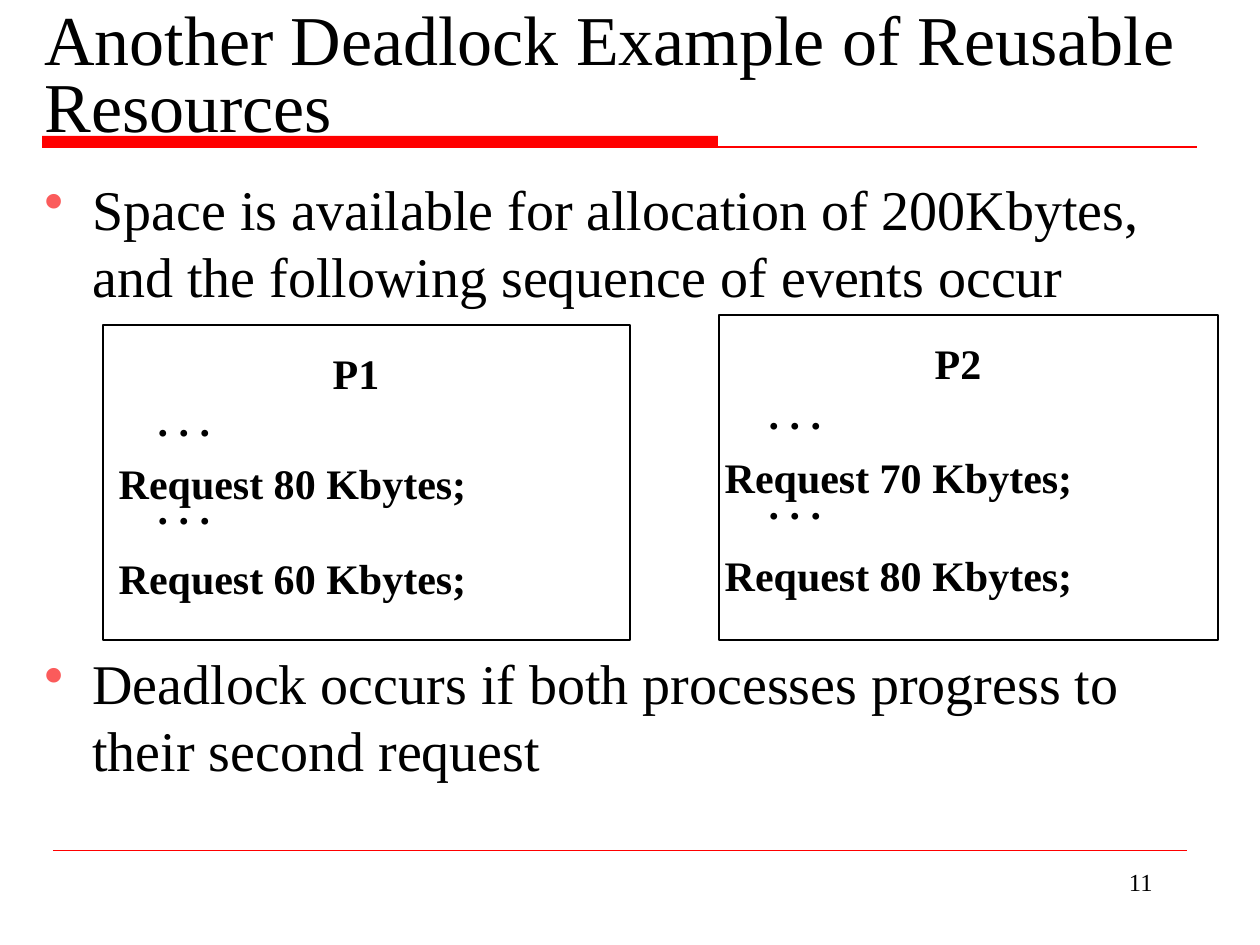
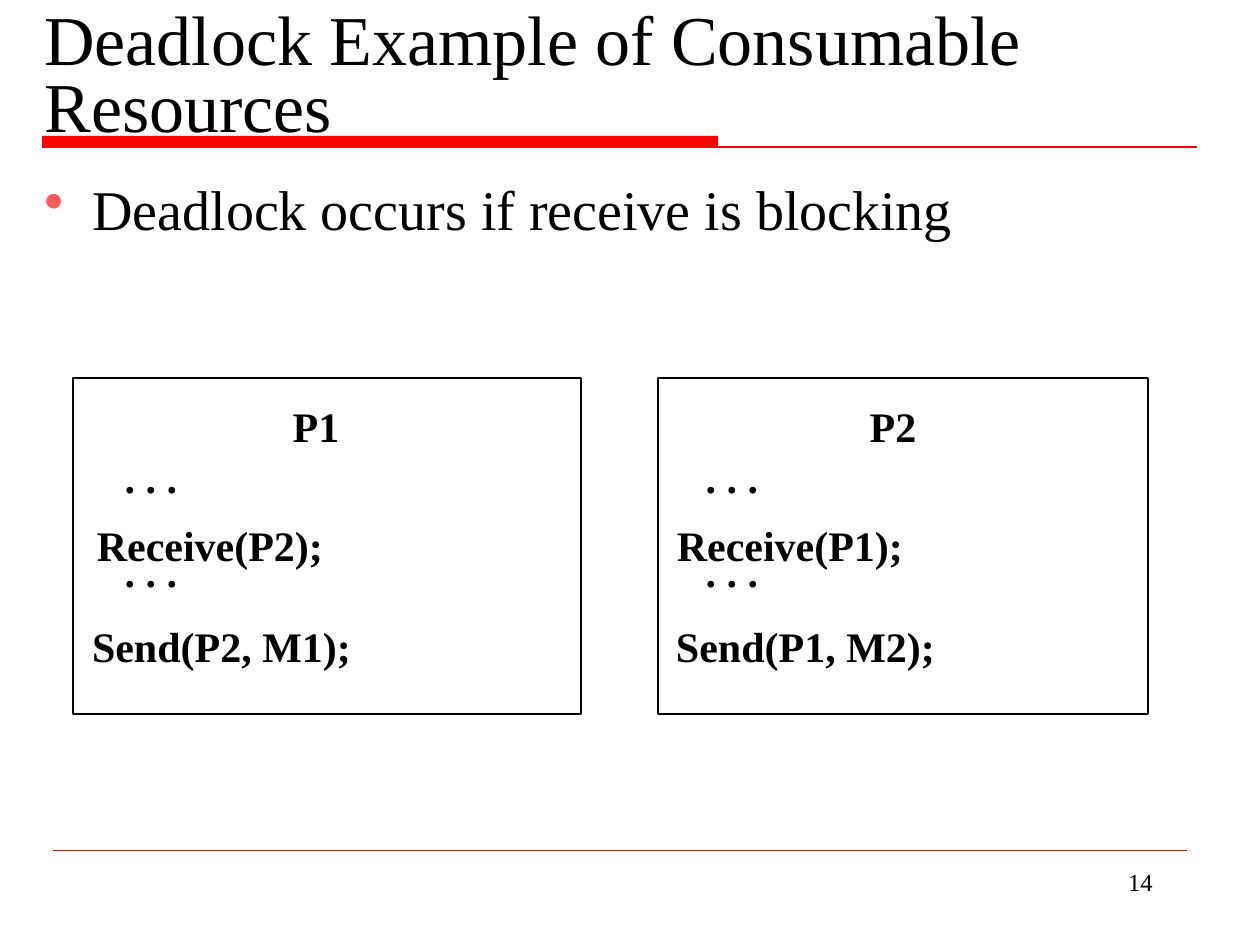
from dataclasses import dataclass
from typing import NamedTuple

from lxml import etree
from pptx import Presentation
from pptx import util as u
from pptx.dml.color import RGBColor
from pptx.enum import shapes, text
from pptx.oxml.ns import qn

SCALE = 914400 / 126  # EMU per px


@dataclass(frozen=True)
class Theme:
    font: str = "Times New Roman"
    ink: str = "000000"
    paper: str = "FFFFFF"
    red: str = "FF0000"
    dot: str = "FB5B5B"
    title: int = 40
    body: int = 32
    code: int = 24
    foot: int = 14


class Box(NamedTuple):
    x: int
    y: int
    w: int
    h: int


class Line(NamedTuple):
    text: str
    x: int
    y: int
    w: int


@dataclass(frozen=True)
class Card:
    box: Box
    name: Line
    dots: tuple[int, int, int]  # left, then the two tops
    calls: tuple[Line, Line]


@dataclass(frozen=True)
class Page:
    title: str
    num: int
    points: tuple[str, ...]
    cards: tuple[Card, Card]


T = Theme()
WIDE, MID, NARROW = 373, 285, 252  # widths of the calls
LABEL, DOTS, ROW = 72, 78, 63      # label width, dots width, row height
INDENT = 48
GAP = 194                          # points of room left for the cards

PAGES = (
    Page("Another Deadlock Example of Reusable Resources", 11,
         ("Space is available for allocation of 200Kbytes, "
          "and the following sequence of events occur",
          "Deadlock occurs if both processes progress to their second request"),
         (Card(Box(103, 325, 527, 315), Line("P1", 320, 341, LABEL), (145, 388, 476),
               (Line("Request 80 Kbytes;", 106, 451, WIDE),
                Line("Request 60 Kbytes;", 106, 546, WIDE))),
          Card(Box(719, 315, 499, 325), Line("P2", 922, 331, LABEL), (756, 381, 471),
               (Line("Request 70 Kbytes;", 712, 445, WIDE),
                Line("Request 80 Kbytes;", 712, 543, WIDE))))),
    Page("Deadlock Example of Consumable Resources", 14,
         ("Deadlock occurs if receive is blocking",),
         (Card(Box(73, 378, 508, 336), Line("P1", 280, 394, LABEL), (112, 445, 539),
               (Line("Receive(P2);", 84, 513, NARROW),
                Line("Send(P2, M1);", 79, 614, MID))),
          Card(Box(658, 378, 490, 336), Line("P2", 857, 394, LABEL), (693, 445, 539),
               (Line("Receive(P1);", 664, 513, NARROW),
                Line("Send(P1, M2);", 663, 614, MID))))),
)


def px(n: float) -> u.Emu:
    return u.Emu(round(n * SCALE))


def rgb(code: str) -> RGBColor:
    return RGBColor.from_string(code)


def style(para, size: int, bold: bool = False) -> None:
    for run in para.runs:
        font = run.font
        font.name, font.size, font.bold = T.font, u.Pt(size), bold
        font.color.rgb = rgb(T.ink)


def write(parent, box: Box, words: str, size: int, align=text.PP_ALIGN.LEFT,
          bold: bool = False, wrap: bool = True):
    frame = parent.add_textbox(*map(px, box)).text_frame
    frame.word_wrap = wrap
    frame.text = words
    for para in frame.paragraphs:
        para.alignment = align
        style(para, size, bold)
    return frame


def rect(parent, box: Box, fill: str, edge: str | None = None) -> None:
    shape = parent.add_shape(shapes.MSO_SHAPE.RECTANGLE, *map(px, box))
    shape.shadow.inherit = False
    shape.fill.solid()
    shape.fill.fore_color.rgb = rgb(fill)
    if edge:
        shape.line.color.rgb = rgb(edge)
        shape.line.width = u.Pt(1)
    else:
        shape.line.fill.background()


def rule(parent, x: int, y: int, end: int, width: float) -> None:
    line = parent.add_connector(shapes.MSO_CONNECTOR.STRAIGHT,
                                px(x), px(y), px(end), px(y))
    line.line.color.rgb = rgb(T.red)
    line.line.width = u.Pt(width)
    etree.SubElement(line._element.spPr, qn("a:effectLst"))


def bullet(para) -> None:
    props = para._p.get_or_add_pPr()
    props.set("marL", str(px(INDENT)))
    props.set("indent", str(px(-INDENT)))
    tint = etree.SubElement(props, qn("a:buClr"))
    etree.SubElement(tint, qn("a:srgbClr"), val=T.dot)
    etree.SubElement(props, qn("a:buChar"), char="•")


def base(parent, page: Page) -> None:
    # Title band, footer rule and page number
    rect(parent, Box(42, 136, 676, 11), T.red)
    rule(parent, 42, 147, 1197, 0.75)
    rule(parent, 53, 850, 1187, 0.25)
    write(parent, Box(903, 861, 262, 63), str(page.num), T.foot, text.PP_ALIGN.RIGHT)
    # Title
    frame = write(parent, Box(32, 21, 1176, 116), page.title, T.title)
    frame.vertical_anchor = text.MSO_ANCHOR.MIDDLE
    frame.paragraphs[0].line_spacing = 0.8


def body(parent, points: tuple[str, ...]) -> None:
    frame = write(parent, Box(32, 168, 1176, 672), "\n".join(points), T.body)
    for i, para in enumerate(frame.paragraphs):
        para.space_before = u.Pt(GAP if i else 8)
        bullet(para)


def draw(parent, card: Card) -> None:
    group = parent.add_group_shape().shapes
    rect(group, card.box, T.paper, T.ink)
    left, *tops = card.dots
    dots = [Line(". . .", left, top, DOTS) for top in tops]
    for line in (card.name, *dots, *card.calls):
        write(group, Box(line.x, line.y, line.w, ROW), line.text, T.code,
              text.PP_ALIGN.CENTER, bold=True, wrap=False)


def main() -> None:
    deck = Presentation()
    deck.slide_width, deck.slide_height = px(1260), px(945)
    for page in PAGES:
        parent = deck.slides.add_slide(deck.slide_layouts[6]).shapes
        base(parent, page)
        body(parent, page.points)
        for card in page.cards:
            draw(parent, card)
    deck.save("out.pptx")


if __name__ == "__main__":
    main()
